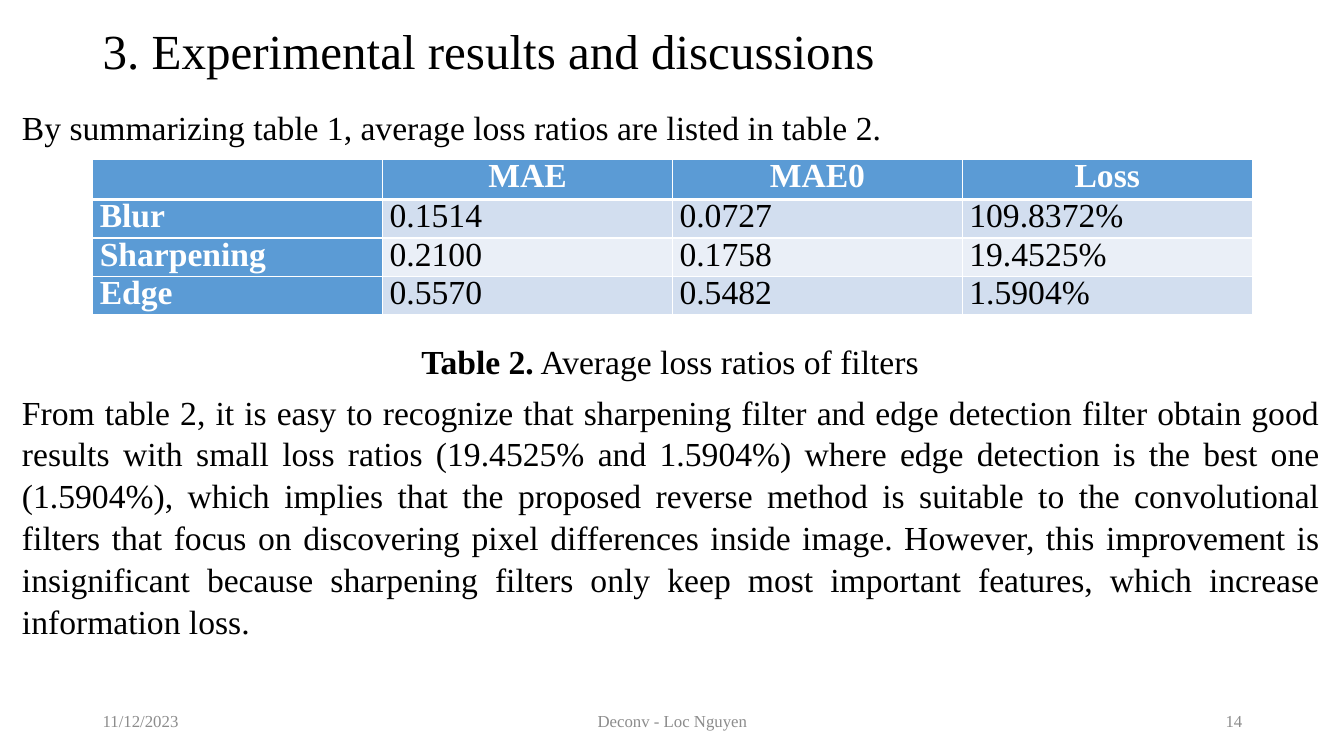
from lxml.etree import SubElement
from pptx import Presentation
from pptx.dml.color import RGBColor
from pptx.enum.text import MSO_ANCHOR, PP_ALIGN
from pptx.oxml.ns import qn
from pptx.util import Inches, Pt


def color(hex_value):
    """Turn a hex string into a colour."""
    return RGBColor.from_string(hex_value)


class SlideBuilder:
    """Holds the style and the current slide, and adds elements to it."""

    font_name = "Times New Roman"
    text_color = "000000"
    footer_color = "8C8C8C"
    header_fill = "5B9BD5"
    band_fills = ("EAEFF7", "D2DEEF")
    border_color = "FFFFFF"
    body_size = 24

    def __init__(self, presentation):
        """Add a blank slide to the presentation."""
        self.slide = presentation.slides.add_slide(presentation.slide_layouts[6])

    def style(self, paragraph, size, hex_value, alignment, bold=None):
        """Set the font and alignment of a paragraph."""
        paragraph.alignment = alignment
        paragraph.font.name = self.font_name
        paragraph.font.size = Pt(size)
        paragraph.font.color.rgb = color(hex_value)
        paragraph.font.bold = bold

    def frame(self, left, top, width, height, anchor=MSO_ANCHOR.TOP):
        """Add a wrapping text box and return its text frame."""
        shape = self.slide.shapes.add_textbox(
            Inches(left), Inches(top), Inches(width), Inches(height))
        shape.text_frame.word_wrap = True
        shape.text_frame.vertical_anchor = anchor
        return shape.text_frame

    def label(self, text, left, top, width, height, size, hex_value, alignment):
        """Add one vertically centred line of text."""
        paragraph = self.frame(left, top, width, height, MSO_ANCHOR.MIDDLE).paragraphs[0]
        paragraph.text = text
        self.style(paragraph, size, hex_value, alignment)

    def body(self, opening, discussion, gap):
        """Add the two body paragraphs with room for the table between them."""
        text_frame = self.frame(0.12, 1, 13.07, 5.66)
        paragraphs = (text_frame.paragraphs[0], text_frame.add_paragraph())
        for paragraph, text in zip(paragraphs, (opening, discussion)):
            paragraph.text = text
            paragraph.line_spacing = 1.04
            self.style(paragraph, self.body_size, self.text_color, PP_ALIGN.JUSTIFY)
        paragraphs[1].space_before = Pt(gap)

    def caption(self, number, text):
        """Add the table caption with a bold number."""
        text_frame = self.frame(4.08, 3.33, 5.18, 0.5)
        text_frame.word_wrap = False
        paragraph = text_frame.paragraphs[0]
        self.style(paragraph, self.body_size, self.text_color, PP_ALIGN.LEFT)
        number_run = paragraph.add_run()
        number_run.text = number
        number_run.font.bold = True
        paragraph.add_run().text = text

    def borders(self, cell, top, bottom):
        """Draw the four borders of a cell, with widths in points."""
        properties = cell._tc.get_or_add_tcPr()
        sides = (("lnL", 1), ("lnR", 1), ("lnT", top), ("lnB", bottom))
        for position, (side, width) in enumerate(sides):
            line = SubElement(properties, qn(f"a:{side}"), w=str(Pt(width)))
            fill = SubElement(line, qn("a:solidFill"))
            SubElement(fill, qn("a:srgbClr"), val=self.border_color)
            properties.insert(position, line)

    def table(self, rows, left, top, width, row_height):
        """Add a banded table with a header row and a header column."""
        table = self.slide.shapes.add_table(
            len(rows), len(rows[0]), Inches(left), Inches(top),
            Inches(width), Inches(row_height * len(rows))).table
        for row_index, row in enumerate(rows):
            for column_index, text in enumerate(row):
                cell = table.cell(row_index, column_index)
                is_header = row_index == 0 or column_index == 0
                cell.margin_left = cell.margin_right = Inches(0.07)
                cell.margin_top = cell.margin_bottom = 0
                cell.fill.solid()
                cell.fill.fore_color.rgb = color(
                    self.header_fill if is_header else self.band_fills[row_index % 2])
                self.borders(cell, 3 if row_index == 1 else 1, 3 if row_index == 0 else 1)
                paragraph = cell.text_frame.paragraphs[0]
                paragraph.text = text
                paragraph.line_spacing = 0.95
                self.style(paragraph, self.body_size,
                           "FFFFFF" if is_header else self.text_color,
                           PP_ALIGN.CENTER if row_index == 0 else PP_ALIGN.JUSTIFY,
                           is_header)


def main():
    """Build the slide and save it."""
    presentation = Presentation()
    presentation.slide_width = Inches(13.33)
    presentation.slide_height = Inches(7.5)
    builder = SlideBuilder(presentation)
    builder.label("3. Experimental results and discussions", 0.92, 0.13, 11.5, 0.72,
                  35, builder.text_color, PP_ALIGN.LEFT)
    builder.body(
        "By summarizing table 1, average loss ratios are listed in table 2.",
        "From table 2, it is easy to recognize that sharpening filter and edge detection "
        "filter obtain good results with small loss ratios (19.4525% and 1.5904%) where "
        "edge detection is the best one (1.5904%), which implies that the proposed reverse "
        "method is suitable to the convolutional filters that focus on discovering pixel "
        "differences inside image. However, this improvement is insignificant because "
        "sharpening filters only keep most important features, which increase information "
        "loss.",
        gap=173)
    footers = (
        ("11/12/2023", 0.92, 3, PP_ALIGN.LEFT),
        ("Deconv - Loc Nguyen", 4.42, 4.5, PP_ALIGN.CENTER),
        ("14", 9.42, 3, PP_ALIGN.RIGHT),
    )
    for text, left, width, alignment in footers:
        builder.label(text, left, 6.95, width, 0.4, 12, builder.footer_color, alignment)
    builder.table(
        (
            ("", "MAE", "MAE0", "Loss"),
            ("Blur", "0.1514", "0.0727", "109.8372%"),
            ("Sharpening", "0.2100", "0.1758", "19.4525%"),
            ("Edge", "0.5570", "0.5482", "1.5904%"),
        ),
        0.92, 1.58, 11.5, 0.37)
    builder.caption("Table 2.", " Average loss ratios of filters")
    presentation.save("out.pptx")


if __name__ == "__main__":
    main()
